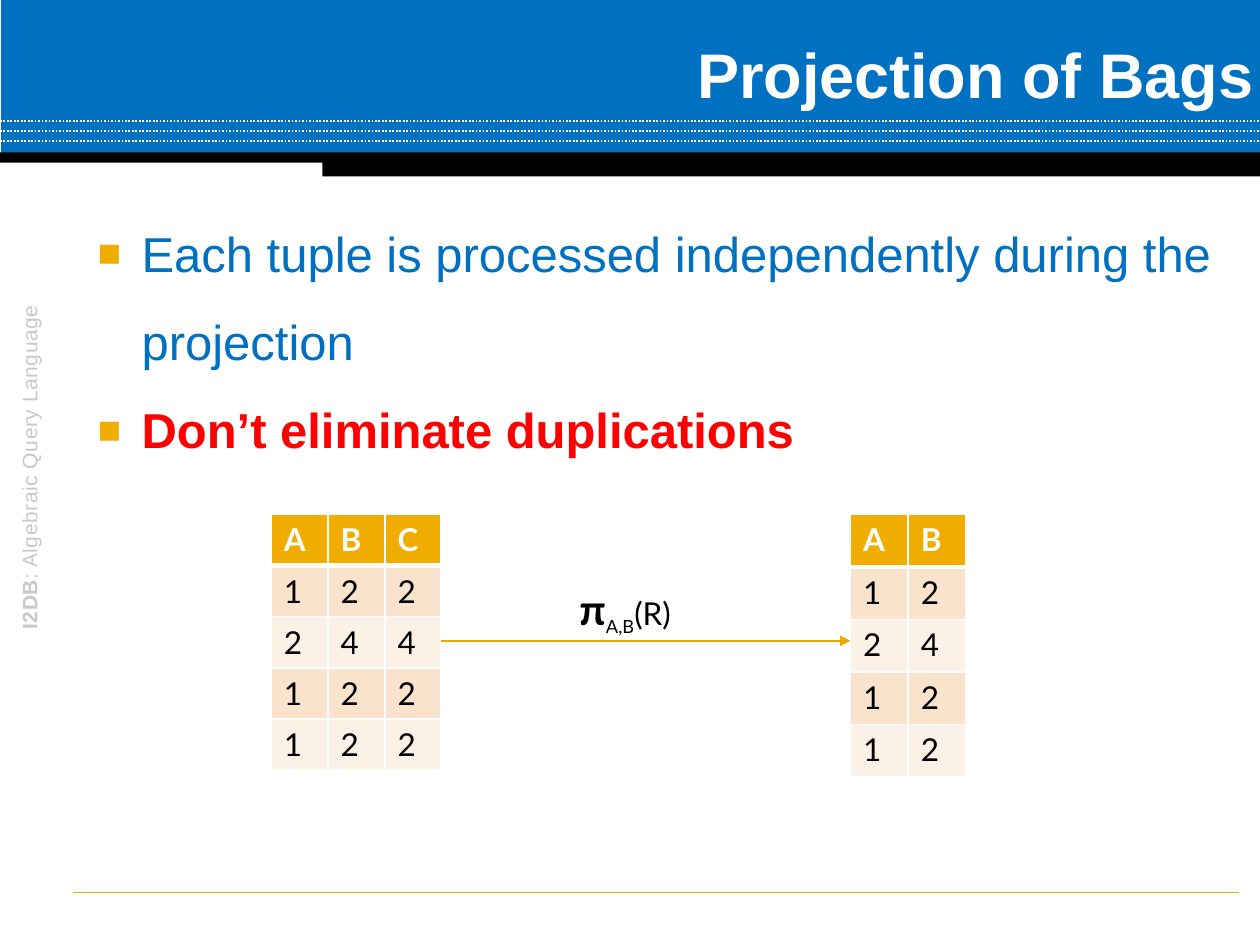
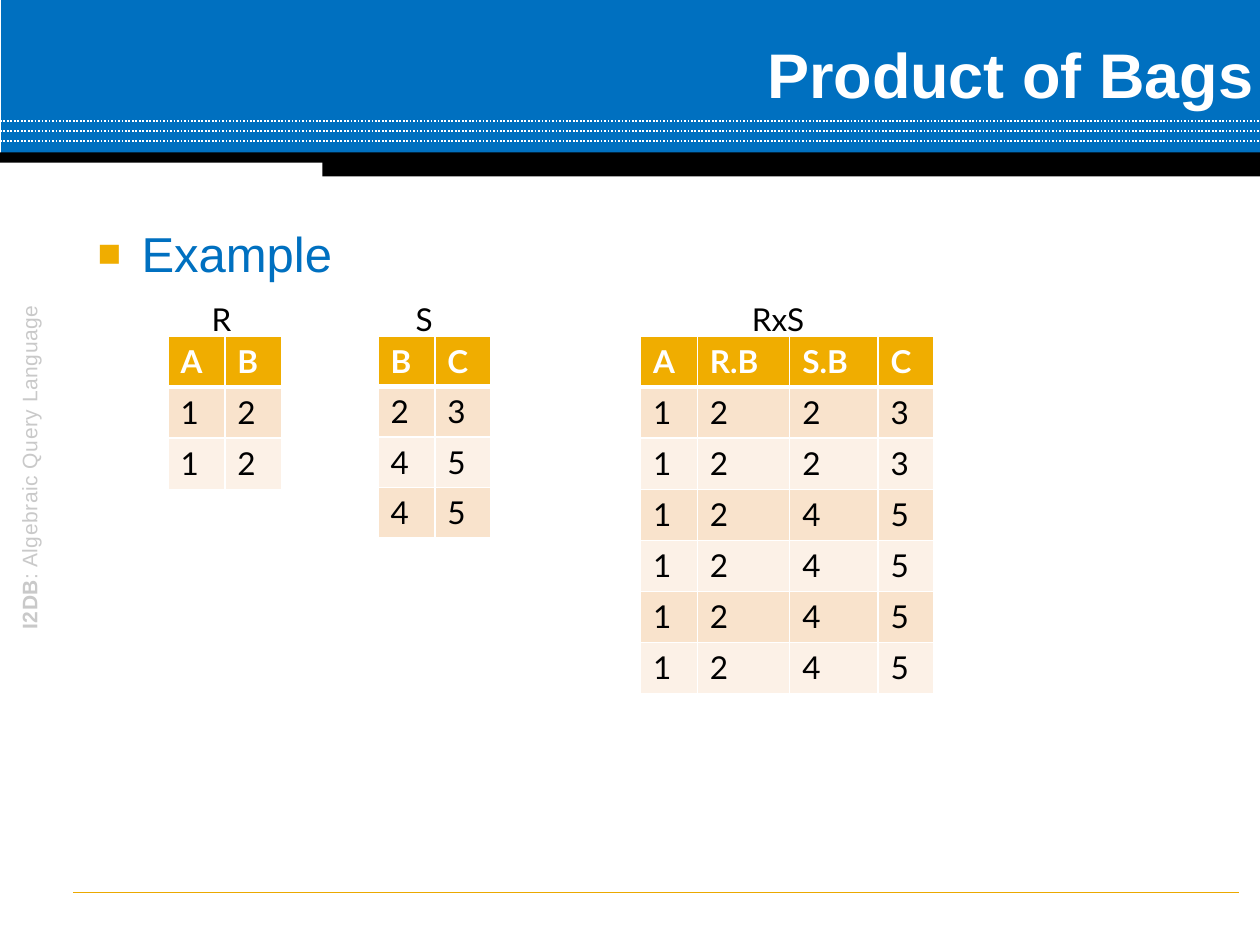
from lxml import etree
from pptx import Presentation
from pptx import util as u
from pptx.dml.color import RGBColor
from pptx.enum import dml, shapes, text
from pptx.oxml import ns

Pt = u.Pt

THEME = {
    "blue": "0070C0", "gold": "F0AD00", "rule": "EBA900", "red": "FF0000",
    "white": "FFFFFF", "black": "000000", "grey": "C9C9C9",
    "bands": ("F9E3CC", "FCF1E7"),
    "sans": "Arial", "data": "Lato",
    "title": 36, "body": 28, "formula": 24, "cell": 18, "side": 12,
}
PAGE = (720, 540)
TITLE_BOX = (185.8, 0, 534.2, 84.2)
BODY_BOX = (42, 103.7, 666, 400.3)
SIDE_BOX = (5.8, 102.2, 28.8, 329.8)
FORMULA_BOX = (324, 329.8, 73.4, 36)
BLOCKS = [
    ((0.7, 0, 719.3, 88.6), "blue"),
    ((0, 87.1, 720, 5.8), "black"),
    ((184.3, 89.3, 535.7, 11.5), "black"),
]
DOTTED_TOP, DOTTED_GAP, DOTTED_COUNT = 69.1, 5.75, 3
FOOTER_Y = 509.8
LABEL_TOP, LABEL_HEIGHT = 167.8, 28.8

SIDE_TEXT = [("I2DB", True), (": Algebraic Query Language", False)]
FORMULA = [("π", "formula", True, 0), ("A,B", "cell", False, -25000), ("(R)", "cell", False, 0)]

SLIDES = [
    {
        "title": "Projection of Bags",
        "bullets": [
            ("Each tuple is processed independently during the projection", "blue", False),
            ("Don’t eliminate duplications", "red", True),
        ],
        "relations": [
            {"at": (155, 294), "widths": (32.5, 32.5, 32), "row": 29.2,
             "rows": ["A B C", "1 2 2", "2 4 4", "1 2 2", "1 2 2"]},
            {"at": (486, 294), "widths": (33, 33), "row": 30,
             "rows": ["A B", "1 2", "2 4", "1 2", "1 2"]},
        ],
        "arrow_y": 366.2,
    },
    {
        "title": "Product of Bags",
        "bullets": [("Example", "blue", False)],
        "relations": [
            {"at": (96, 192), "widths": (32.5, 32.5), "row": 29.2,
             "rows": ["A B", "1 2", "1 2"], "label": ("R", 113.8, 27.4)},
            {"at": (216, 192), "widths": (32.5, 32), "row": 28.8,
             "rows": ["B C", "2 3", "4 5", "4 5"], "label": ("S", 230.4, 24.5)},
            {"at": (366, 192), "widths": (32.5, 52.8, 50.4, 32), "row": 29.2,
             "rows": ["A R.B S.B C"] + ["1 2 2 3"] * 2 + ["1 2 4 5"] * 4,
             "label": ("RxS", 422.6, 46.8)},
        ],
    },
]


def rgb(name):
    return RGBColor.from_string(THEME.get(name, name))


def points(values):
    return [Pt(value) for value in values]


def apply(target, values):
    for key, value in values.items():
        setattr(target, key, value)


def place(part, box):
    apply(part, dict(zip(("left", "top", "width", "height"), points(box))))


def add_xml(parent, tag, **attributes):
    return etree.SubElement(parent, ns.qn(tag), attributes)


def write(paragraph, words, size, face, color, bold=False):
    run = paragraph.add_run()
    run.text = words
    apply(run.font, {"size": Pt(THEME[size]), "name": THEME[face], "bold": bold})
    run.font.color.rgb = rgb(color)
    return run


def add_line(slide, start, end, color, width):
    line = slide.shapes.add_connector(shapes.MSO_CONNECTOR.STRAIGHT, *points(start + end))
    line.line.color.rgb = rgb(color)
    line.line.width = Pt(width)
    add_xml(line.element.spPr, "a:effectLst")
    return line


def add_caption(slide, box):
    caption = slide.shapes.add_textbox(*points(box))
    caption.text_frame.word_wrap = False
    return caption.text_frame.paragraphs[0]


def draw_shared(slide):
    for box, color in BLOCKS:
        block = slide.shapes.add_shape(shapes.MSO_SHAPE.RECTANGLE, *points(box))
        block.shadow.inherit = False
        block.fill.solid()
        block.fill.fore_color.rgb = rgb(color)
        block.line.fill.background()
    for index in range(DOTTED_COUNT):
        y = DOTTED_TOP + index * DOTTED_GAP
        dotted = add_line(slide, (0, y), (PAGE[0], y), "white", 1)
        dotted.line.dash_style = dml.MSO_LINE.ROUND_DOT
    side = slide.shapes.add_textbox(*points(SIDE_BOX)).text_frame
    side.word_wrap = True
    side.paragraphs[0].alignment = text.PP_ALIGN.CENTER
    side._txBody.bodyPr.set("vert", "vert270")
    for words, bold in SIDE_TEXT:
        run = write(side.paragraphs[0], words, "side", "sans", "grey", bold)
        run.font._element.set("spc", "30")
    add_line(slide, (42, FOOTER_Y), (708, FOOTER_Y), "rule", 0.5)


def move_to_layout(slide, layout):
    for spare in list(layout.placeholders)[2:]:
        layout.shapes.element.remove(spare.element)
    for part in list(slide.shapes)[2:]:
        layout.shapes.element.append(part.element)


def fill_title(slide, words):
    title = slide.shapes.title
    place(title, TITLE_BOX)
    apply(title.text_frame, {
        "vertical_anchor": text.MSO_ANCHOR.MIDDLE, "auto_size": text.MSO_AUTO_SIZE.NONE,
        "margin_left": Pt(7.2), "margin_right": Pt(3.6),
        "margin_top": Pt(3.6), "margin_bottom": Pt(3.6)})
    paragraph = title.text_frame.paragraphs[0]
    paragraph.alignment = text.PP_ALIGN.RIGHT
    write(paragraph, words, "title", "sans", "white", True)


def fill_body(slide, bullets):
    body = slide.placeholders[1]
    place(body, BODY_BOX)
    frame = body.text_frame
    apply(frame, {
        "vertical_anchor": text.MSO_ANCHOR.TOP, "auto_size": text.MSO_AUTO_SIZE.NONE,
        "margin_left": Pt(4.3), "margin_right": Pt(7.2),
        "margin_top": Pt(7.2), "margin_bottom": Pt(3.6)})
    for index, (words, color, bold) in enumerate(bullets):
        paragraph = frame.add_paragraph() if index else frame.paragraphs[0]
        apply(paragraph, {"line_spacing": 1.5, "space_before": Pt(0),
                          "alignment": text.PP_ALIGN.LEFT})
        properties = paragraph._p.get_or_add_pPr()
        properties.set("marL", str(Pt(34.6)))
        properties.set("indent", str(Pt(-25.2)))
        add_xml(add_xml(properties, "a:buClr"), "a:srgbClr", val=THEME["gold"])
        add_xml(properties, "a:buSzPct", val="80000")
        add_xml(properties, "a:buFont", typeface=THEME["sans"])
        add_xml(properties, "a:buChar", char="■")
        write(paragraph, words, "body", "sans", color, bold)


def set_borders(cell, header, below_header):
    properties = cell._tc.get_or_add_tcPr()
    widths = {"L": 1, "R": 1, "T": 3 if below_header else 1, "B": 3 if header else 1}
    for position, (side, width) in enumerate(widths.items()):
        edge = add_xml(properties, "a:ln" + side, w=str(Pt(width)))
        add_xml(add_xml(edge, "a:solidFill"), "a:srgbClr", val=THEME["white"])
        properties.insert(position, edge)


def add_relation(slide, relation):
    rows = [row.split() for row in relation["rows"]]
    widths, height = relation["widths"], relation["row"]
    box = relation["at"] + (sum(widths), height * len(rows))
    table = slide.shapes.add_table(len(rows), len(widths), *points(box)).table
    for column, width in zip(table.columns, widths):
        column.width = Pt(width)
    for r, row in enumerate(rows):
        table.rows[r].height = Pt(height)
        header = r == 0
        for c, value in enumerate(row):
            cell = table.cell(r, c)
            cell.fill.solid()
            cell.fill.fore_color.rgb = rgb("gold" if header else THEME["bands"][(r - 1) % 2])
            set_borders(cell, header, r == 1)
            write(cell.text_frame.paragraphs[0], value, "cell", "data",
                  "white" if header else "black", header)
    if "label" in relation:
        words, left, width = relation["label"]
        caption = add_caption(slide, (left, LABEL_TOP, width, LABEL_HEIGHT))
        write(caption, words, "cell", "data", "black")


def add_projection(slide, source, target, y):
    start = source["at"][0] + sum(source["widths"])
    arrow = add_line(slide, (start, y), (target["at"][0], y), "rule", 1.5)
    add_xml(arrow.line._get_or_add_ln(), "a:tailEnd", type="triangle")
    formula = add_caption(slide, FORMULA_BOX)
    for words, size, bold, baseline in FORMULA:
        run = write(formula, words, size, "data", "black", bold)
        run.font._element.set("baseline", str(baseline))


deck = Presentation()
apply(deck, dict(zip(("slide_width", "slide_height"), points(PAGE))))
layout = deck.slide_layouts[1]

for number, content in enumerate(SLIDES):
    slide = deck.slides.add_slide(layout)
    if number == 0:
        draw_shared(slide)
        move_to_layout(slide, layout)
    fill_title(slide, content["title"])
    fill_body(slide, content["bullets"])
    for relation in content["relations"]:
        add_relation(slide, relation)
    if "arrow_y" in content:
        add_projection(slide, *content["relations"], content["arrow_y"])

deck.save("out.pptx")
